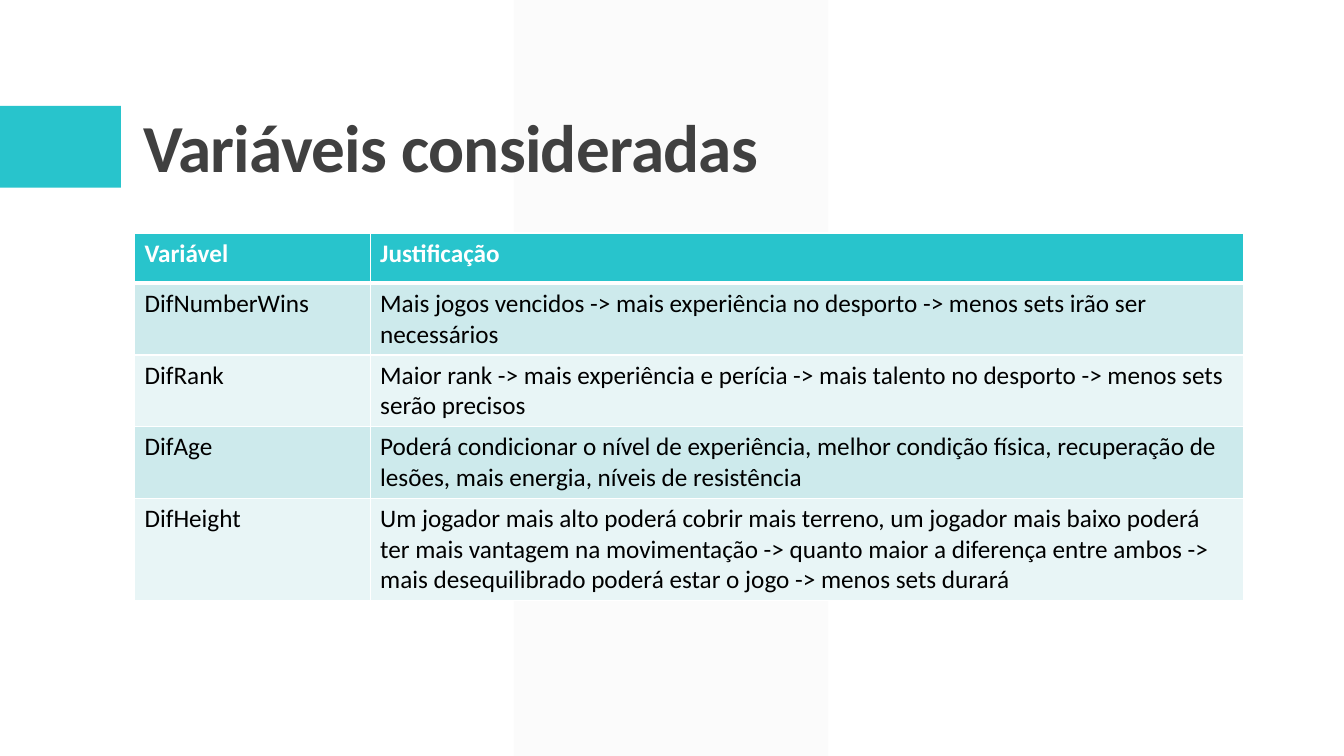
import pptx
import pptx.dml.color
import pptx.enum.shapes
import pptx.enum.text
import pptx.oxml
import pptx.oxml.ns
import pptx.util
from pptx.util import Cm

TEAL = "28C4CC"
WHITE = "FFFFFF"
BAND_FILLS = ("CDEAEC", "E8F5F6")
COLUMN_SHARES = (0.2125, 0.7875)
ROW_HEIGHTS = (1.27, 1.4, 1.73, 1.73, 2.01)
VARIABLES = [
    ("Variável", "Justificação"),
    ("DifNumberWins", "Mais jogos vencidos -> mais experiência no desporto -> menos sets irão ser necessários"),
    ("DifRank", "Maior rank -> mais experiência e perícia -> mais talento no desporto -> menos sets serão precisos"),
    ("DifAge", "Poderá condicionar o nível de experiência, melhor condição física, recuperação de lesões, "
               "mais energia, níveis de resistência"),
    ("DifHeight", "Um jogador mais alto poderá cobrir mais terreno, um jogador mais baixo poderá ter mais "
                  "vantagem na movimentação -> quanto maior a diferença entre ambos -> mais desequilibrado "
                  "poderá estar o jogo -> menos sets durará"),
]


def color(value):
    return pptx.dml.color.RGBColor.from_string(value)


def write_text(text_frame, text, size=18, fill="000000", bold=False, line_spacing=None, tracking=None):
    paragraph = text_frame.paragraphs[0]
    paragraph.alignment = pptx.enum.text.PP_ALIGN.LEFT
    paragraph.line_spacing = line_spacing
    run = paragraph.add_run()
    run.text = text
    run.font.name = "Calibri"
    run.font.size = pptx.util.Pt(size)
    run.font.bold = bold
    run.font.color.rgb = color(fill)
    if tracking is not None:
        run.font._element.set("spc", str(round(tracking * 100)))


def add_block(slide, kind, left, top, width, height, fill, opacity=None):
    shape = slide.shapes.add_shape(kind, left, top, width, height)
    shape.shadow.inherit = False
    shape.line.fill.background()
    shape.fill.solid()
    shape.fill.fore_color.rgb = color(fill)
    if opacity is not None:
        namespace = pptx.oxml.ns.nsdecls("a")
        alpha = pptx.oxml.parse_xml(f'<a:alpha {namespace} val="{opacity * 1000}"/>')
        shape.element.spPr.find(".//" + pptx.oxml.ns.qn("a:srgbClr")).append(alpha)
    return shape


def add_backdrop(slide, left, top, width, height):
    shapes = pptx.enum.shapes.MSO_SHAPE
    stripe = add_block(slide, shapes.PARALLELOGRAM, left + Cm(12.95), top, Cm(7.92), height, "F2F2F2", 30)
    stripe.adjustments[0] = 0
    add_block(slide, shapes.RECTANGLE, left, top + Cm(2.67), Cm(3.05), Cm(2.06), TEAL)


def place_title(slide, left, top, width, height):
    title = slide.shapes.title
    title.left, title.top, title.width, title.height = left, top, width, height
    slide.shapes.element.append(title.element)
    title.text_frame.word_wrap = True
    title.text_frame.vertical_anchor = pptx.enum.text.MSO_ANCHOR.BOTTOM
    write_text(title.text_frame, "Variáveis consideradas", size=48, fill="404040", bold=True,
               line_spacing=0.9, tracking=-0.5)


def set_borders(cell, widths):
    namespace = pptx.oxml.ns.nsdecls("a")
    properties = cell._tc.get_or_add_tcPr()
    for position, (side, points) in enumerate(widths.items()):
        border = pptx.oxml.parse_xml(
            f'<a:ln{side} {namespace} w="{pptx.util.Pt(points)}"><a:solidFill>'
            f'<a:srgbClr val="{WHITE}"/></a:solidFill></a:ln{side}>')
        properties.insert(position, border)


def add_variable_table(slide, left, top, width, height):
    frame = slide.shapes.add_table(len(VARIABLES), len(COLUMN_SHARES), left, top, width, height)
    table = frame.table
    for column, share in zip(table.columns, COLUMN_SHARES):
        column.width = round(width * share)
    for row, row_height in zip(table.rows, ROW_HEIGHTS):
        row.height = Cm(row_height)
    for row_index, texts in enumerate(VARIABLES):
        header = row_index == 0
        row_fill = TEAL if header else BAND_FILLS[(row_index - 1) % 2]
        for column_index, text in enumerate(texts):
            cell = table.cell(row_index, column_index)
            cell.fill.solid()
            cell.fill.fore_color.rgb = color(row_fill)
            set_borders(cell, {"L": 1, "R": 1, "T": 3 if row_index == 1 else 1, "B": 3 if header else 1})
            write_text(cell.text_frame, text, fill=WHITE if header else "000000", bold=header)


def build_variables_slide(presentation):
    slide = presentation.slides.add_slide(presentation.slide_layouts[5])
    slide.background.fill.solid()
    slide.background.fill.fore_color.rgb = color(WHITE)
    add_backdrop(slide, 0, 0, presentation.slide_width, presentation.slide_height)
    place_title(slide, Cm(3.35), Cm(0.79), Cm(27.94), Cm(4.04))
    add_variable_table(slide, Cm(3.39), Cm(5.87), Cm(27.94), Cm(sum(ROW_HEIGHTS)))


def main():
    presentation = pptx.Presentation()
    presentation.slide_width = Cm(33.87)
    presentation.slide_height = Cm(19.05)
    build_variables_slide(presentation)
    presentation.save("out.pptx")


if __name__ == "__main__":
    main()
